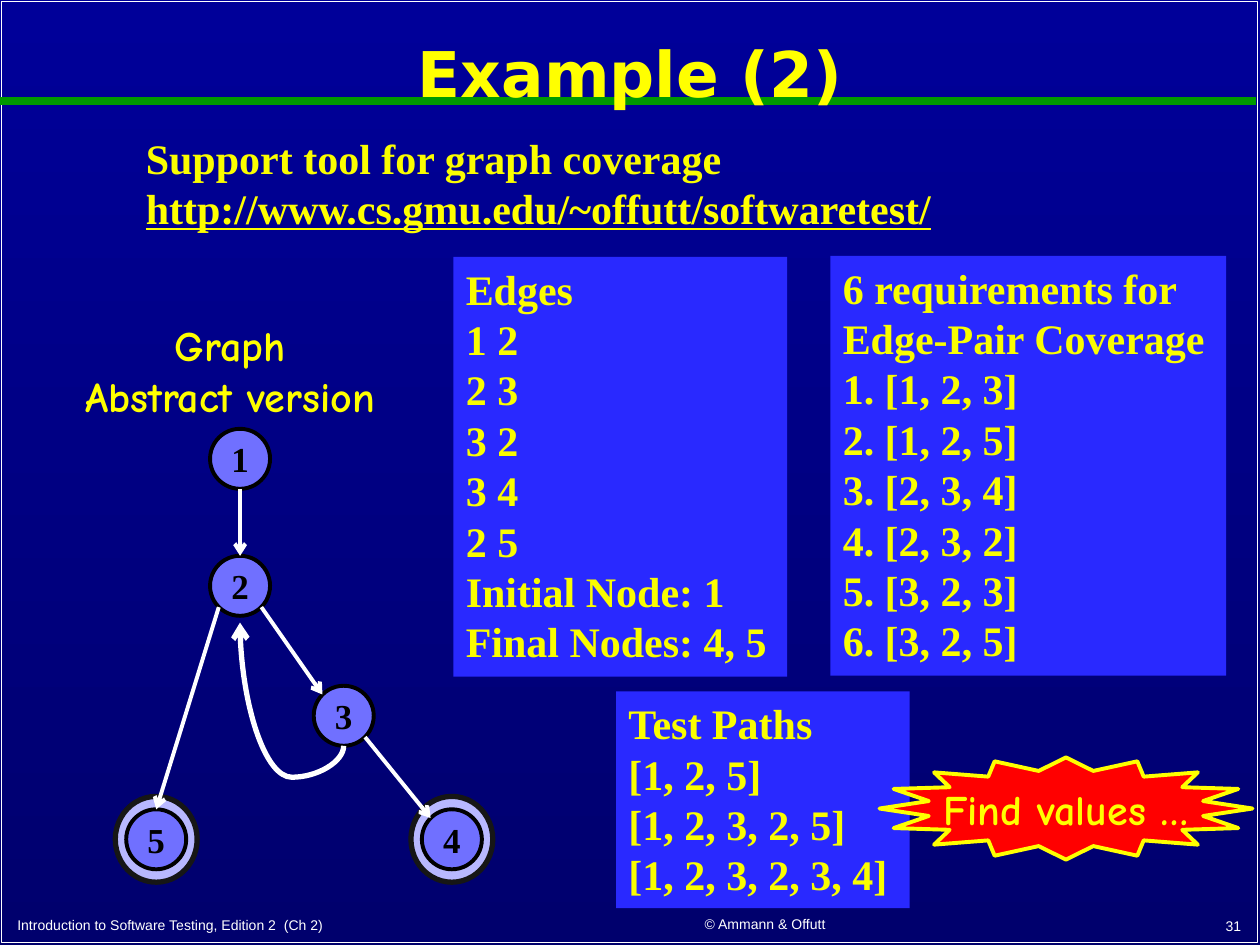
from lxml import etree
from pptx import Presentation
from pptx import util as u
from pptx.dml.color import RGBColor
from pptx.enum import shapes, text
from pptx.oxml.ns import qn

YELLOW = RGBColor(0xFF, 0xFF, 0x00)
SOFT_YELLOW = RGBColor(0xFA, 0xFD, 0x00)
WHITE = RGBColor(0xFF, 0xFF, 0xFF)
BLACK = RGBColor(0x00, 0x00, 0x00)
GREEN = RGBColor(0x00, 0x99, 0x00)
RED = RGBColor(0xFF, 0x00, 0x00)
NAVY_TOP = RGBColor(0x00, 0x00, 0x99)
NAVY_BOTTOM = RGBColor(0x00, 0x00, 0x6D)
PANEL_BLUE = RGBColor(0x29, 0x29, 0xFF)
NODE_BLUE = RGBColor(0x70, 0x70, 0xFF)
RING_BLUE = RGBColor(0xB8, 0xB8, 0xFF)
RING_EDGE = RGBColor(0x16, 0x16, 0x16)

LEFT, CENTER, RIGHT = text.PP_ALIGN.LEFT, text.PP_ALIGN.CENTER, text.PP_ALIGN.RIGHT
TOP, MIDDLE, BOTTOM = (text.MSO_ANCHOR.TOP, text.MSO_ANCHOR.MIDDLE,
                       text.MSO_ANCHOR.BOTTOM)
STRAIGHT, CURVE = shapes.MSO_CONNECTOR.STRAIGHT, shapes.MSO_CONNECTOR.CURVE
RECTANGLE, OVAL, STAR = (shapes.MSO_SHAPE.RECTANGLE, shapes.MSO_SHAPE.OVAL,
                         shapes.MSO_SHAPE.STAR_16_POINT)


class GraphSlide:
    """The style of the slide and its elements; all lengths are in cm."""
    serif, sans, comic, title_font = "Times New Roman", "Arial", "Comic Neue", "DejaVu Sans"
    body_size = 24
    node_size = 1.21

    def __init__(self, slide):
        self.slide = slide

    def background(self, top, bottom):
        fill = self.slide.background.fill
        fill.gradient()
        fill.gradient_angle = 270
        for stop, color, position in zip(fill.gradient_stops, (top, bottom), (0, 1)):
            stop.color.rgb, stop.position = color, position

    def set_words(self, shape, words, font=serif, size=body_size, color=SOFT_YELLOW,
                  bold=True, align=LEFT, anchor=TOP, wrap=True):
        frame = shape.text_frame
        frame.text = words
        frame.word_wrap, frame.vertical_anchor = wrap, anchor
        for paragraph in frame.paragraphs:
            paragraph.alignment = align
            for run in paragraph.runs:
                run.font.name, run.font.size = font, u.Pt(size)
                run.font.bold, run.font.color.rgb = bold, color
        return frame

    def label(self, box, words, **style):
        textbox = self.slide.shapes.add_textbox(*map(u.Cm, box))
        return self.set_words(textbox, words, **style)

    def shape(self, kind, box, fill=None, line=None, width=1):
        shape = self.slide.shapes.add_shape(kind, *map(u.Cm, box))
        shape.shadow.inherit = False
        if fill is None:
            shape.fill.background()
        else:
            shape.fill.solid()
            shape.fill.fore_color.rgb = fill
        if line is None:
            shape.line.fill.background()
        else:
            shape.line.color.rgb, shape.line.width = line, u.Pt(width)
        return shape

    def panel(self, box, words):
        self.set_words(self.shape(RECTANGLE, box, PANEL_BLUE), words)

    def ring(self, center):
        (x, y), width, height = center, 1.65, 1.73
        self.shape(OVAL, (x - width / 2, y - height / 2, width, height),
                   RING_BLUE, RING_EDGE, 3)

    def node(self, center, number):
        (x, y), size = center, self.node_size
        circle = self.shape(OVAL, (x - size / 2, y - size / 2, size, size),
                            NODE_BLUE, BLACK, 2.25)
        self.set_words(circle, number, size=20, color=BLACK, align=CENTER, anchor=MIDDLE)

    def line(self, start, end, color=WHITE, width=2.25, kind=STRAIGHT, arrow=True):
        connector = self.slide.shapes.add_connector(kind, *map(u.Cm, (*start, *end)))
        connector.line.color.rgb, connector.line.width = color, u.Pt(width)
        properties = connector._element.spPr
        if arrow:
            etree.SubElement(properties.find(qn("a:ln")), qn("a:tailEnd"), type="arrow")
        etree.SubElement(properties, qn("a:effectLst"))
        return connector

    def loop(self, start, end, bend):
        """Curve that leaves downwards and returns upwards: a quarter-turned connector."""
        x, y = (start[0] + end[0]) / 2, (start[1] + end[1]) / 2
        half_run, half_rise = (start[0] - end[0]) / 2, (start[1] - end[1]) / 2
        curve = self.line((x + half_rise, y - half_run), (x - half_rise, y + half_run),
                          width=3, kind=CURVE)
        properties = curve._element.spPr
        properties.find(qn("a:xfrm")).set("rot", str(90 * 60000))
        geometry = properties.find(qn("a:prstGeom"))
        guides = geometry.find(qn("a:avLst"))
        if guides is None:
            guides = etree.SubElement(geometry, qn("a:avLst"))
        etree.SubElement(guides, qn("a:gd"), name="adj1", fmla=f"val {bend}")


def main():
    deck = Presentation()
    deck.slide_width, deck.slide_height = u.Cm(25.4), u.Cm(19.05)
    page = GraphSlide(deck.slides.add_slide(deck.slide_layouts[6]))

    # Frame, rule and title
    page.background(NAVY_TOP, NAVY_BOTTOM)
    page.shape(RECTANGLE, (0.03, 0.03, 25.32, 18.97), line=WHITE)
    page.line((0, 2.03), (25.32, 2.03), GREEN, 4.5, arrow=False)
    title = page.label((0.13, 0.28, 25.15, 2.54), "Example (2)", font=page.title_font,
                       size=36, color=YELLOW, align=CENTER, anchor=MIDDLE)
    title.paragraphs[0].line_spacing = 0.9

    # Footer
    for box, words, align in (
            ((0.1, 18.24, 10.67, 0.69),
             "Introduction to Software Testing, Edition 2  (Ch 2)", LEFT),
            ((11.4, 18.21, 8.05, 0.71), "© Ammann & Offutt", CENTER),
            ((19.99, 18.21, 5.28, 0.74), "31", RIGHT)):
        page.label(box, words, font=page.sans, size=8, color=WHITE, bold=False,
                   align=align, anchor=BOTTOM)

    # Support tool
    tool = page.label((2.69, 2.54, 20.02, 2.31), "Support tool for graph coverage\n"
                      "http://www.cs.gmu.edu/~offutt/softwaretest/")
    address = tool.paragraphs[1].runs[0].font
    address.underline, address.color.rgb = True, YELLOW

    # Graph nodes; the final ones have a ring
    nodes = {"1": (4.84, 9.25), "2": (4.84, 11.81), "3": (6.93, 14.43),
             "4": (9.11, 16.92), "5": (3.15, 16.92)}
    for final in "54":
        page.ring(nodes[final])
    for number, center in nodes.items():
        page.node(center, number)

    # Graph edges, from rim to rim
    radius = page.node_size / 2
    diagonal = radius * 0.71
    rim = {"top": (0, -radius), "bottom": (0, radius),
           "top left": (-diagonal, -diagonal),
           "bottom left": (-diagonal, diagonal), "bottom right": (diagonal, diagonal)}

    def port(number, side):
        return tuple(c + d for c, d in zip(nodes[number], rim[side]))

    for source, leave, target, enter in (("1", "bottom", "2", "top"),
                                         ("2", "bottom left", "5", "top"),
                                         ("3", "bottom right", "4", "top left"),
                                         ("2", "bottom right", "3", "top left")):
        page.line(port(source, leave), port(target, enter))
    below_2 = (nodes["2"][0], 12.55)
    page.loop(port("3", "bottom"), below_2, -25500)
    page.label((0.46, 6.32, 8.36, 2.31), "Graph\nAbstract version", font=page.comic,
               color=YELLOW, align=CENTER)

    # Panels
    page.panel((9.14, 5.18, 6.73, 8.46), "Edges\n1 2\n2 3\n3 2\n3 4\n2 5\n"
               "Initial Node: 1\nFinal Nodes: 4, 5")
    page.panel((16.74, 5.16, 7.98, 8.46), "6 requirements for Edge-Pair Coverage\v"
               "1. [1, 2, 3]\v2. [1, 2, 5]\v3. [2, 3, 4]\v"
               "4. [2, 3, 2]\v5. [3, 2, 3]\v6. [3, 2, 5]")
    page.panel((12.42, 13.94, 5.92, 4.37),
               "Test Paths\n[1, 2, 5]\n[1, 2, 3, 2, 5]\n[1, 2, 3, 2, 3, 4]")

    # Call to action
    burst = page.shape(STAR, (17.73, 15.27, 7.52, 2.06), RED, YELLOW, 2.25)
    page.set_words(burst, "Find values …", font=page.comic, color=YELLOW, align=CENTER,
                   anchor=MIDDLE, wrap=False)

    deck.save("out.pptx")


if __name__ == "__main__":
    main()
